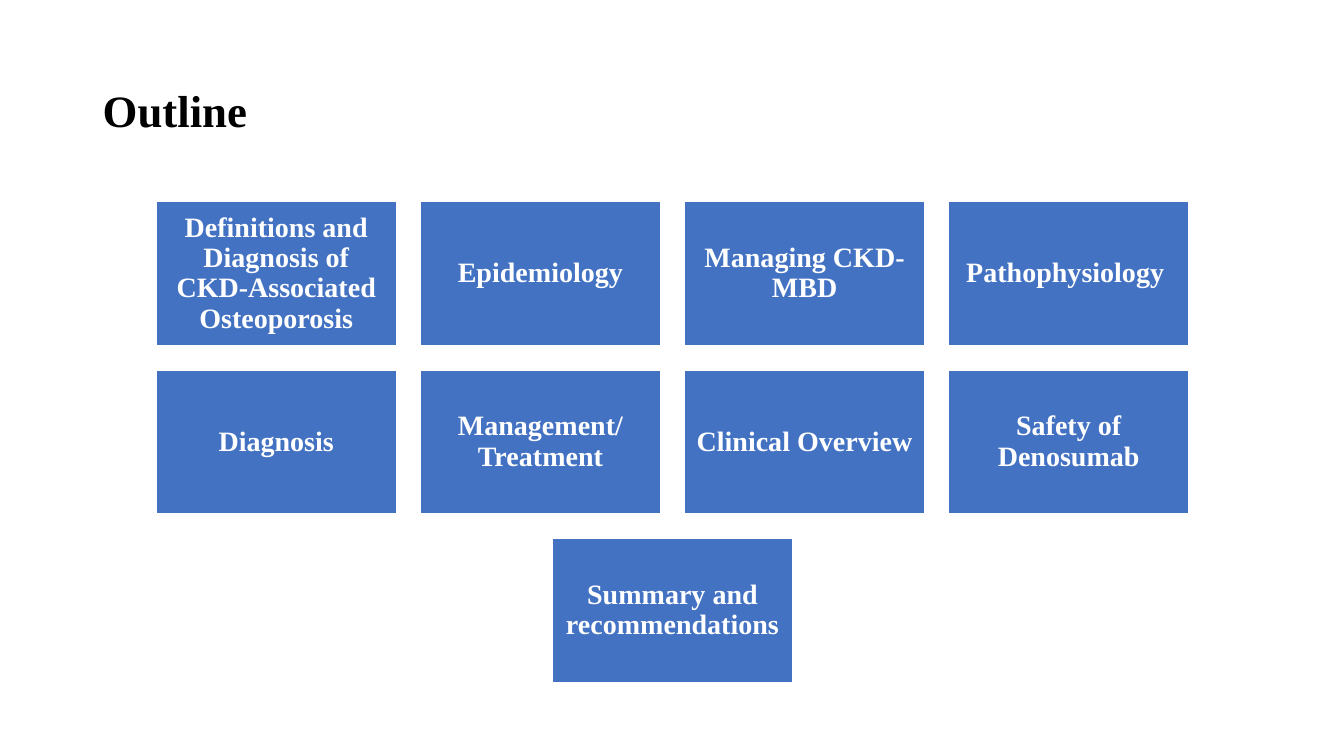
from dataclasses import dataclass

from pptx import Presentation
from pptx.dml.color import RGBColor
from pptx.enum.shapes import MSO_SHAPE
from pptx.enum.text import MSO_ANCHOR, PP_ALIGN
from pptx.slide import Slide
from pptx.text.text import TextFrame
from pptx.util import Inches, Pt

FONT = "Times New Roman"
BLACK, WHITE, BLUE = "000000", "FFFFFF", "4372C3"

# Topic grid, in inches; each row is centred on the same axis
GRID_CENTER, GRID_TOP = 6.67, 2.0
TOPIC_WIDTH, TOPIC_HEIGHT, GAP = 2.38, 1.43, 0.24

TOPIC_ROWS = [
    ["Definitions and Diagnosis of CKD-Associated Osteoporosis",
     "Epidemiology", "Managing CKD-MBD", "Pathophysiology "],
    ["Diagnosis", "Management/Treatment", "Clinical Overview",
     "Safety of Denosumab"],
    ["Summary and recommendations"],
]


@dataclass
class Topic:
    label: str
    left: float
    top: float


def color(hex_value: str) -> RGBColor:
    return RGBColor.from_string(hex_value)


def set_text(frame: TextFrame, text: str, size: int, hex_value: str,
             align: PP_ALIGN, inset_x: float, inset_y: float) -> None:
    frame.text = text
    frame.word_wrap = True
    frame.vertical_anchor = MSO_ANCHOR.MIDDLE
    frame.margin_left = frame.margin_right = Inches(inset_x)
    frame.margin_top = frame.margin_bottom = Inches(inset_y)
    paragraph = frame.paragraphs[0]
    paragraph.alignment = align
    paragraph.line_spacing = 0.9
    font = paragraph.runs[0].font
    font.name, font.size, font.bold = FONT, Pt(size), True
    font.color.rgb = color(hex_value)


def lay_out_topics() -> list[Topic]:
    topics = []
    for row, labels in enumerate(TOPIC_ROWS):
        row_width = len(labels) * (TOPIC_WIDTH + GAP) - GAP
        row_left = GRID_CENTER - row_width / 2
        top = GRID_TOP + row * (TOPIC_HEIGHT + GAP)
        for column, label in enumerate(labels):
            left = row_left + column * (TOPIC_WIDTH + GAP)
            topics.append(Topic(label, left, top))
    return topics


def draw_topic(slide: Slide, topic: Topic) -> None:
    tile = slide.shapes.add_shape(
        MSO_SHAPE.RECTANGLE, Inches(topic.left), Inches(topic.top),
        Inches(TOPIC_WIDTH), Inches(TOPIC_HEIGHT))
    tile.shadow.inherit = False
    tile.fill.solid()
    tile.fill.fore_color.rgb = color(BLUE)
    tile.line.color.rgb = color(WHITE)
    tile.line.width = Pt(1)
    set_text(tile.text_frame, topic.label, 20, WHITE, PP_ALIGN.CENTER, 0.08, 0.08)


def main() -> None:
    presentation = Presentation()
    presentation.slide_width = Inches(13.33)
    presentation.slide_height = Inches(7.5)
    slide = presentation.slides.add_slide(presentation.slide_layouts[6])

    # Heading
    heading = slide.shapes.add_textbox(
        Inches(0.92), Inches(0.4), Inches(11.5), Inches(1.45))
    set_text(heading.text_frame, "Outline", 32, BLACK, PP_ALIGN.LEFT, 0.1, 0.05)

    # Topics
    for topic in lay_out_topics():
        draw_topic(slide, topic)

    presentation.save("out.pptx")


if __name__ == "__main__":
    main()
